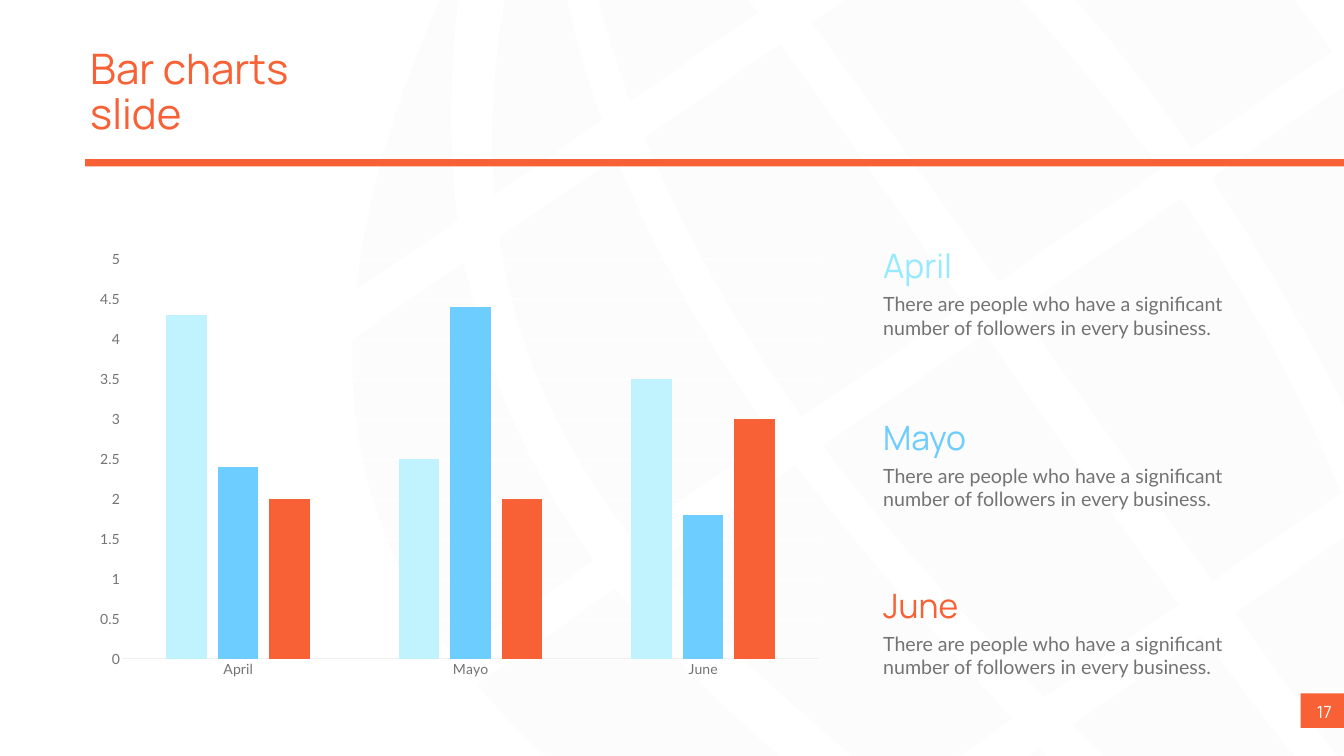
import functools
import itertools
import math
from dataclasses import dataclass
from typing import Any

import lxml.etree
import pptx
import pptx.chart.data
import pptx.dml.color
import pptx.enum.chart
import pptx.enum.shapes
import pptx.enum.text
import pptx.oxml.ns
import pptx.util

Pt = pptx.util.Pt
RGBColor = pptx.dml.color.RGBColor

ORANGE = RGBColor(0xF8, 0x61, 0x35)
BLUE = RGBColor(0x6D, 0xCD, 0xFE)
PALE_BLUE = RGBColor(0xC1, 0xF3, 0xFE)
CYAN = RGBColor(0x95, 0xEA, 0xFD)
GREY = RGBColor(0x73, 0x73, 0x73)
GLOBE_GREY = RGBColor(0xA6, 0xA6, 0xA6)
AXIS_GREY = RGBColor(0xF0, 0xF0, 0xF0)
WHITE = RGBColor(0xFF, 0xFF, 0xFF)

SLIDE_WIDTH, SLIDE_HEIGHT = 1919.52, 1080
MARGIN = 121.68
MONTH_LEFT = 1254.24
DESCRIPTION = "There are people who have a significant number of followers in every business."

HEADING_FONT = {"name": "Manrope", "size": Pt(48)}
TITLE_FONT = {"name": "Manrope", "size": Pt(60)}
NUMBER_FONT = {"name": "Manrope", "size": Pt(24)}
BODY_FONT = {"name": "Lato", "size": Pt(28)}
CHART_FONT = {"name": "Lato", "size": Pt(20)}

GLOBE_OPACITY = 3
GLOBE_SLOPE = 0.69
EDGE_STEPS = 10
MERIDIAN_LEVELS = (400, 800, 1400, 2000)
GLOBE_BANDS = ((375, 765), (832, 1386), (1448, 2025), (2093, 2400))


@dataclass
class Box:
    left: float
    top: float
    width: float
    height: float

    def lengths(self) -> list[pptx.util.Length]:
        return [Pt(value) for value in (self.left, self.top, self.width, self.height)]


@dataclass
class Month:
    name: str
    color: RGBColor
    top: float


@dataclass
class Series:
    name: str
    values: tuple[float, ...]
    color: RGBColor


@dataclass
class GlobeColumn:
    left: tuple[float, ...]
    right: tuple[float, ...]


MONTHS = [Month("April", CYAN, 347), Month("Mayo", BLUE, 592), Month("June", ORANGE, 831.6)]

SERIES = [
    Series("Series 1", (4.3, 2.5, 3.5), PALE_BLUE),
    Series("Series 2", (2.4, 4.4, 1.8), BLUE),
    Series("Series 3", (2, 2, 3), ORANGE),
]

GLOBE_COLUMNS = [
    GlobeColumn((650, 505, 656, 1030), (662, 658, 855, 1215)),
    GlobeColumn((745, 709, 907, 1270), (785, 870, 1112, 1432)),
    GlobeColumn((818, 911, 1152, 1477), (903, 1099, 1384, 1671)),
    GlobeColumn((950, 1144, 1433, 1720), (1085, 1338, 1664, 1907)),
    GlobeColumn((1110, 1385, 1708, 1956), (1190, 1550, 1908, 2115)),
]


def apply_format(target: Any, values: dict[str, Any]) -> None:
    for key, value in values.items():
        *parents, attribute = key.split(".")
        setattr(functools.reduce(getattr, parents, target), attribute, value)


def paint(shape: Any, color: RGBColor) -> None:
    shape.fill.solid()
    shape.fill.fore_color.rgb = color
    shape.line.fill.background()
    shape.shadow.inherit = False


def meridian_point(meridian: tuple[float, ...], level: float) -> tuple[float, float]:
    x = sum(
        place * math.prod((level - other) / (node - other)
                          for other in MERIDIAN_LEVELS if other != node)
        for place, node in zip(meridian, MERIDIAN_LEVELS)
    )
    return x, level - GLOBE_SLOPE * x


def draw_globe_tile(slide: Any, column: GlobeColumn, band: tuple[float, float]) -> None:
    start, end = band
    levels = [start + (end - start) * step / EDGE_STEPS for step in range(EDGE_STEPS + 1)]
    outline = [meridian_point(column.left, level) for level in levels]
    outline += [meridian_point(column.right, level) for level in reversed(levels)]
    across, down = zip(*outline)
    if min(across) >= SLIDE_WIDTH or min(down) >= SLIDE_HEIGHT or max(down) <= 0:
        return
    corners = [(Pt(x), Pt(y)) for x, y in outline]
    builder = slide.shapes.build_freeform(*corners[0], scale=1.0)
    builder.add_line_segments(corners[1:], close=True)
    tile = builder.convert_to_shape()
    paint(tile, GLOBE_GREY)
    color = tile._element.spPr.find(".//" + pptx.oxml.ns.qn("a:srgbClr"))
    alpha = lxml.etree.SubElement(color, pptx.oxml.ns.qn("a:alpha"))
    alpha.set("val", str(GLOBE_OPACITY * 1000))


def draw_bar(slide: Any, box: Box) -> None:
    paint(slide.shapes.add_shape(pptx.enum.shapes.MSO_SHAPE.RECTANGLE, *box.lengths()), ORANGE)


def write_text(shape: Any, text: str, font: dict[str, Any], color: RGBColor,
               align: Any = pptx.enum.text.PP_ALIGN.LEFT) -> Any:
    frame = shape.text_frame
    frame.text = text
    apply_format(frame, {"word_wrap": True, "auto_size": pptx.enum.text.MSO_AUTO_SIZE.NONE,
                         "vertical_anchor": pptx.enum.text.MSO_ANCHOR.TOP})
    paragraph = frame.paragraphs[0]
    paragraph.alignment = align
    apply_format(paragraph.runs[0].font, {**font, "color.rgb": color})
    return frame


def draw_title(slide: Any) -> None:
    title = slide.shapes.title
    title.left, title.top, title.width, title.height = Box(MARGIN, 64.8, 352, 152.6).lengths()
    write_text(title, "Bar charts slide", TITLE_FONT, ORANGE).paragraphs[0].line_spacing = 0.9


def draw_month(slide: Any, month: Month) -> None:
    heading = slide.shapes.add_textbox(*Box(MONTH_LEFT, month.top, 401, 65.5).lengths())
    write_text(heading, month.name, HEADING_FONT, month.color)
    description = slide.shapes.add_textbox(*Box(MONTH_LEFT, month.top + 67, 550, 75).lengths())
    write_text(description, DESCRIPTION, BODY_FONT, GREY)


def draw_page_number(slide: Any) -> None:
    draw_bar(slide, Box(1857.6, 990.72, 61.92, 49))
    number = slide.shapes.add_textbox(*Box(1857.6, 995.8, 67.5, 44).lengths())
    frame = write_text(number, "17", NUMBER_FONT, WHITE, pptx.enum.text.PP_ALIGN.CENTER)
    apply_format(frame, {"margin_left": 0, "margin_right": 0, "margin_top": Pt(7.2)})


def draw_chart(slide: Any) -> None:
    data = pptx.chart.data.CategoryChartData()
    data.categories = [month.name for month in MONTHS]
    for series in SERIES:
        data.add_series(series.name, series.values)
    chart = slide.shapes.add_chart(pptx.enum.chart.XL_CHART_TYPE.COLUMN_CLUSTERED,
                                   *Box(MARGIN, 345.6, 1070, 635.8).lengths(), data).chart
    apply_format(chart, {"has_legend": False, "has_title": False})
    apply_format(chart.font, {**CHART_FONT, "color.rgb": GREY})
    plot = chart.plots[0]
    apply_format(plot, {"gap_width": 219, "overlap": -27, "vary_by_categories": False})
    for series, bars in zip(SERIES, plot.series):
        bars.format.fill.solid()
        bars.format.fill.fore_color.rgb = series.color
    for axis in (chart.category_axis, chart.value_axis):
        apply_format(axis, {"major_tick_mark": pptx.enum.chart.XL_TICK_MARK.NONE,
                            "minor_tick_mark": pptx.enum.chart.XL_TICK_MARK.NONE})
        apply_format(axis.tick_labels.font, {**CHART_FONT, "color.rgb": GREY})
    apply_format(chart.category_axis.format.line, {"color.rgb": AXIS_GREY, "width": Pt(0.75)})
    apply_format(chart.value_axis, {"minimum_scale": 0, "maximum_scale": 5, "major_unit": 0.5})
    chart.value_axis.format.line.fill.background()
    apply_format(chart.value_axis.major_gridlines.format.line,
                 {"color.rgb": WHITE, "width": Pt(0.75)})


def main() -> None:
    deck = pptx.Presentation()
    apply_format(deck, {"slide_width": Pt(SLIDE_WIDTH), "slide_height": Pt(SLIDE_HEIGHT)})
    slide = deck.slides.add_slide(deck.slide_layouts[5])
    for column, band in itertools.product(GLOBE_COLUMNS, GLOBE_BANDS):
        draw_globe_tile(slide, column, band)
    draw_page_number(slide)
    draw_title(slide)
    draw_bar(slide, Box(MARGIN, 227.2, SLIDE_WIDTH - MARGIN, 10.5))
    draw_chart(slide)
    for month in MONTHS:
        draw_month(slide, month)
    deck.save("out.pptx")


if __name__ == "__main__":
    main()
